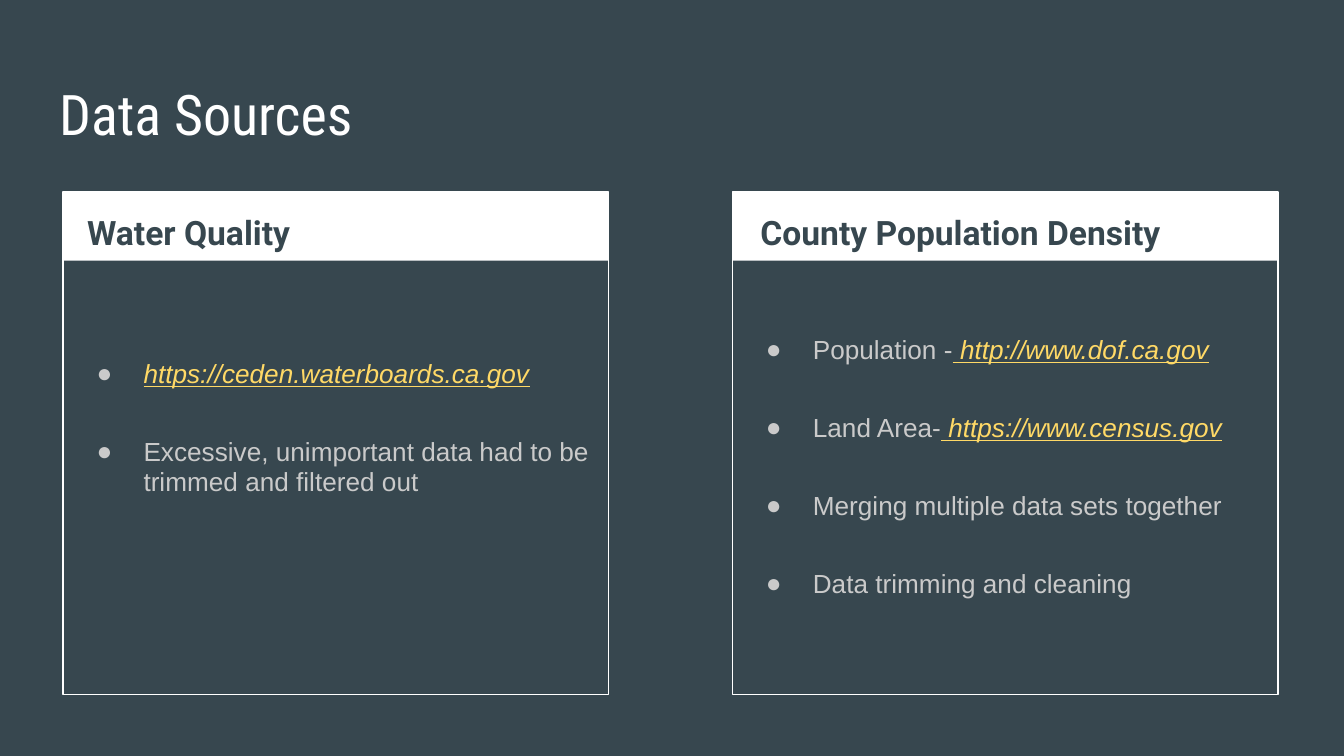
import pptx
import pptx.util
import pptx.dml.color
import pptx.enum.shapes
import pptx.enum.text
from lxml import etree

Inches = pptx.util.Inches
Pt = pptx.util.Pt
SLATE, WHITE, GRAY, YELLOW = "37474F", "FFFFFF", "CACACA", "FFD966"
CARD_TOP, CARD_WIDTH = 1.43, 4.06


def color(value):
    return pptx.dml.color.RGBColor.from_string(value)


def add_run(paragraph, text, font, size, value, bold=False, italic=False, underline=False):
    run = paragraph.add_run()
    run.text = text
    run.font.name = font
    run.font.size = Pt(size)
    run.font.color.rgb = color(value)
    run.font.bold = bold
    run.font.italic = italic
    run.font.underline = underline


# Slide in 16:9
presentation = pptx.Presentation()
presentation.slide_width = Inches(10)
presentation.slide_height = Inches(10 * 9 / 16)
slide = presentation.slides.add_slide(presentation.slide_layouts[5])
slide.background.fill.solid()
slide.background.fill.fore_color.rgb = color(SLATE)

# Title
title = slide.shapes.title
title.left, title.top = Inches(0.34), Inches(0.49)
title.width, title.height = Inches(9.32), Inches(0.63)
frame = title.text_frame
frame.auto_size = pptx.enum.text.MSO_AUTO_SIZE.NONE
frame.vertical_anchor = pptx.enum.text.MSO_ANCHOR.TOP
frame.margin_left = frame.margin_right = frame.margin_top = frame.margin_bottom = Inches(0.1)
frame.paragraphs[0].alignment = pptx.enum.text.PP_ALIGN.LEFT
add_run(frame.paragraphs[0], "Data Sources", "Roboto Condensed", 30, WHITE)

# Each card: left, heading, heading left and width, top inset, bullets.
# A bullet is plain text, an underlined gap and a link.
cards = [
    (0.47, "Water Quality", 0.55, 2.73, 1.25, [
        ("", "", "https://ceden.waterboards.ca.gov"),
        ("Excessive, unimportant data had to be trimmed and filtered out", "", ""),
    ]),
    (5.45, "County Population Density", 5.56, 3.76, 1.07, [
        ("Population -", " ", "http://www.dof.ca.gov"),
        ("Land Area-", " ", "https://www.census.gov"),
        ("Merging multiple data sets together", "", ""),
        ("Data trimming and cleaning", "", ""),
    ]),
]

for left, heading, heading_left, heading_width, top_inset, bullets in cards:
    # Header band and outlined body
    group = slide.shapes.add_group_shape()
    band, body = [
        group.shapes.add_shape(
            pptx.enum.shapes.MSO_SHAPE.RECTANGLE,
            Inches(left), Inches(CARD_TOP), Inches(CARD_WIDTH), Inches(height))
        for height in (0.51, 3.74)
    ]
    band.shadow.inherit = body.shadow.inherit = False
    band.fill.solid()
    band.fill.fore_color.rgb = color(WHITE)
    band.line.fill.background()
    body.fill.background()
    body.line.color.rgb = color(WHITE)
    body.line.width = Pt(0.75)

    # Bullets
    frame = body.text_frame
    frame.word_wrap = True
    frame.vertical_anchor = pptx.enum.text.MSO_ANCHOR.TOP
    frame.margin_left = frame.margin_right = frame.margin_bottom = Inches(0.1)
    frame.margin_top = Inches(top_inset)
    for index, (text, gap, link) in enumerate(bullets):
        paragraph = frame.add_paragraph() if index else frame.paragraphs[0]
        paragraph.alignment = pptx.enum.text.PP_ALIGN.LEFT
        paragraph.line_spacing = 0.94
        paragraph.space_before = Pt(26 if index else 0)
        properties = paragraph._p.get_or_add_pPr()
        properties.set("marL", str(Inches(0.5)))
        properties.set("indent", str(Inches(-0.35)))
        namespace = properties.nsmap["a"]
        bullet_color = etree.SubElement(properties, f"{{{namespace}}}buClr")
        etree.SubElement(bullet_color, f"{{{namespace}}}srgbClr", val=GRAY)
        etree.SubElement(properties, f"{{{namespace}}}buFont", typeface="Arial")
        etree.SubElement(properties, f"{{{namespace}}}buChar", char="●")
        if text:
            add_run(paragraph, text, "Arial", 14, GRAY)
        if gap:
            add_run(paragraph, gap, "Arial", 14, YELLOW, underline=True)
        if link:
            add_run(paragraph, link, "Arial", 14, YELLOW, italic=True, underline=True)

    # Heading
    box = slide.shapes.add_textbox(
        Inches(heading_left), Inches(CARD_TOP), Inches(heading_width), Inches(0.5))
    frame = box.text_frame
    frame.word_wrap = True
    frame.margin_left = frame.margin_right = frame.margin_top = frame.margin_bottom = Inches(0.1)
    frame.paragraphs[0].line_spacing = 1.15
    add_run(frame.paragraphs[0], heading, "Roboto", 18, SLATE, bold=True)

presentation.save("out.pptx")
